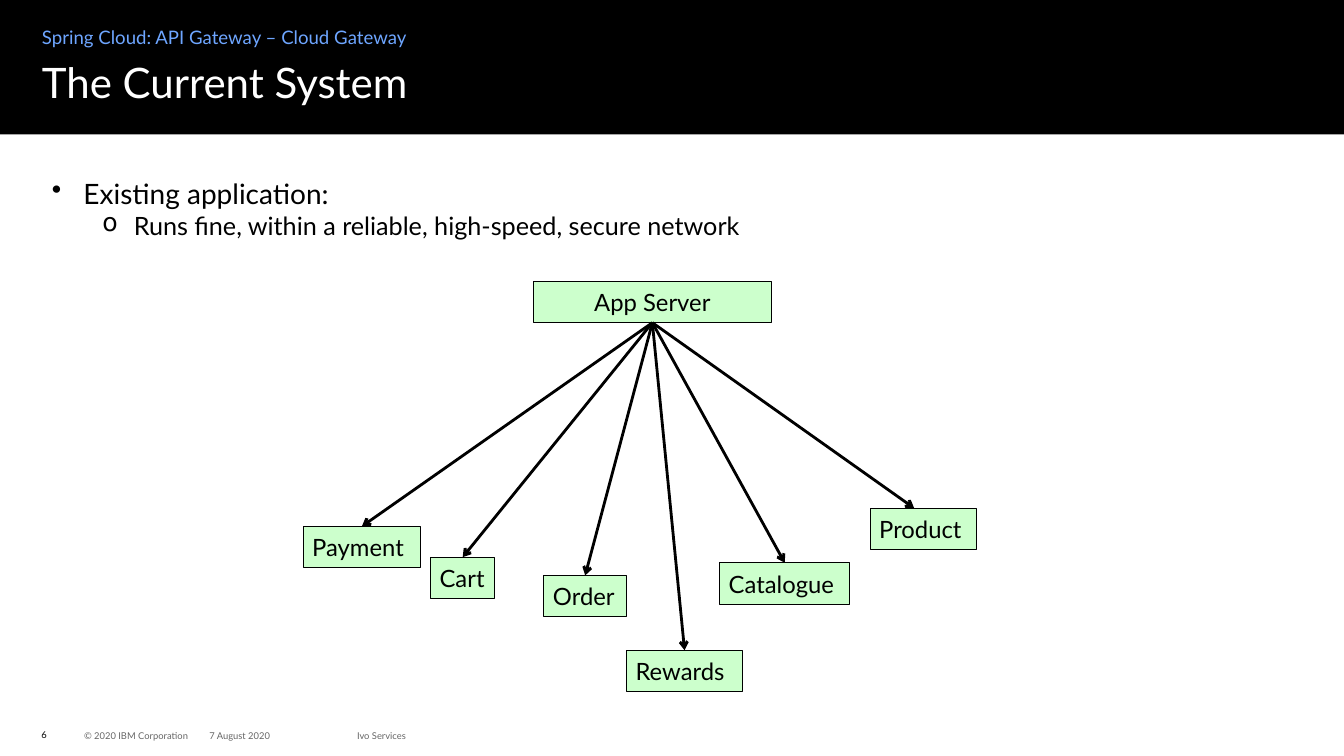
from lxml import etree
from pptx import Presentation
from pptx.dml.color import RGBColor
from pptx.enum import shapes, text
from pptx.oxml import ns
from pptx.util import Pt

COLORS = {"black": "000000", "white": "FFFFFF", "gray": "666666",
          "blue": "6EA6FF", "green": "CCFFCC"}
FONT = "Lato"


def rgb(name):
    return RGBColor.from_string(COLORS[name])


def write(frame, words, size, color="black", align="LEFT", line=None,
          bullet=None, left=0, more=False, inset=(0, 0), anchor="TOP"):
    """Put one paragraph in a frame; more=True adds it below the last."""
    frame.word_wrap = True
    frame.margin_left = frame.margin_right = Pt(inset[0])
    frame.margin_top = frame.margin_bottom = Pt(inset[1])
    frame.vertical_anchor = getattr(text.MSO_ANCHOR, anchor)
    para = frame.add_paragraph() if more else frame.paragraphs[0]
    para.alignment = getattr(text.PP_ALIGN, align)
    if line:
        para.line_spacing = line
    if bullet:
        props = para._p.get_or_add_pPr()
        props.set("marL", str(Pt(left)))
        props.set("indent", str(Pt(-22.5)))
        etree.SubElement(props, ns.qn("a:buChar")).set("char", bullet)
    run = para.add_run()
    run.text = words
    run.font.name = FONT
    run.font.size = Pt(size)
    run.font.color.rgb = rgb(color)


deck = Presentation()
deck.slide_width, deck.slide_height = Pt(960), Pt(540)
slide = deck.slides.add_slide(deck.slide_layouts[6])
items = slide.shapes

# Header band
band = items.add_shape(shapes.MSO_SHAPE.RECTANGLE, 0, 0, Pt(960), Pt(96))
band.shadow.inherit = False
band.fill.solid()
band.fill.fore_color.rgb = rgb("black")
band.line.fill.background()

# Header and footer text
labels = [
    ("Spring Cloud: API Gateway – Cloud Gateway", 30, 17.5, 432, 18,
     dict(size=13.3, color="blue", line=1.05)),
    ("The Current System", 30, 44.5, 900, 51,
     dict(size=30, color="white", line=0.9)),
    ("6", 29.5, 518, 22, 14, dict(size=6.7, anchor="MIDDLE")),
]
for words, left in [("© 2020 IBM Corporation", 60), ("7 August 2020", 149.5),
                    ("Ivo Services", 255)]:
    labels.append((words, left, 518.5, 90, 14,
                   dict(size=6.7, color="gray", anchor="MIDDLE")))
for words, left, top, width, height, style in labels:
    box = items.add_textbox(Pt(left), Pt(top), Pt(width), Pt(height))
    write(box.text_frame, words, **style)

# Bullets
body = items.add_textbox(Pt(30), Pt(122.5), Pt(790), Pt(53)).text_frame
write(body, "Existing application:", 20, bullet="•", left=22.5,
      inset=(7.2, 3.6))
write(body, "Runs fine, within a reliable, high-speed, secure network", 18,
      bullet="o", left=58.5, more=True, inset=(7.2, 3.6))
body.paragraphs[1].level = 1

# Server and services: name, left, top, width
nodes = [
    ("App Server", 381, 201, 170),
    ("Payment", 216.5, 376, 84),
    ("Cart", 307.5, 398, 46),
    ("Order", 388.5, 411, 59),
    ("Rewards", 447.5, 464.5, 83),
    ("Catalogue", 514, 402, 93),
    ("Product", 621.5, 363, 76),
]
server = None
for name, left, top, width in nodes:
    node = items.add_shape(shapes.MSO_SHAPE.RECTANGLE, Pt(left), Pt(top),
                           Pt(width), Pt(29.5))
    node.shadow.inherit = False
    node.fill.solid()
    node.fill.fore_color.rgb = rgb("green")
    node.line.color.rgb = rgb("black")
    node.line.width = Pt(0)
    write(node.text_frame, name, 17, inset=(6.5, 3), anchor="MIDDLE",
          align="LEFT" if server else "CENTER")
    node.text_frame.margin_right = Pt(0 if server else 6.5)
    if server is None:
        server = node
        continue
    # The arrow to Product lands left of the middle of its box
    arrow = items.add_connector(shapes.MSO_CONNECTOR.STRAIGHT, Pt(466),
                                Pt(230.5), Pt(653), Pt(top))
    arrow.begin_connect(server, 2)
    if name != "Product":
        arrow.end_connect(node, 0)
    arrow.line.color.rgb = rgb("black")
    arrow.line.width = Pt(0)
    etree.SubElement(arrow.line._get_or_add_ln(),
                     ns.qn("a:tailEnd")).set("type", "arrow")
    etree.SubElement(arrow._element.spPr, ns.qn("a:effectLst"))

deck.save("out.pptx")
